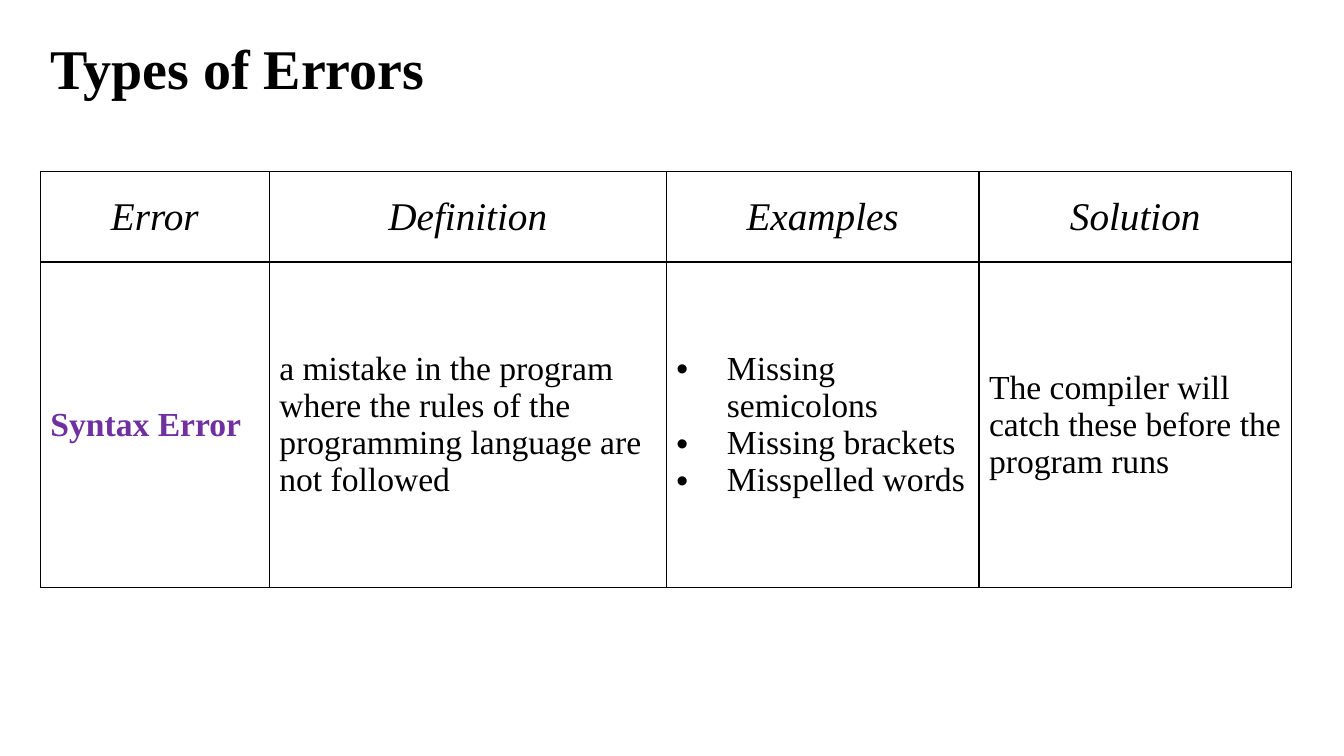
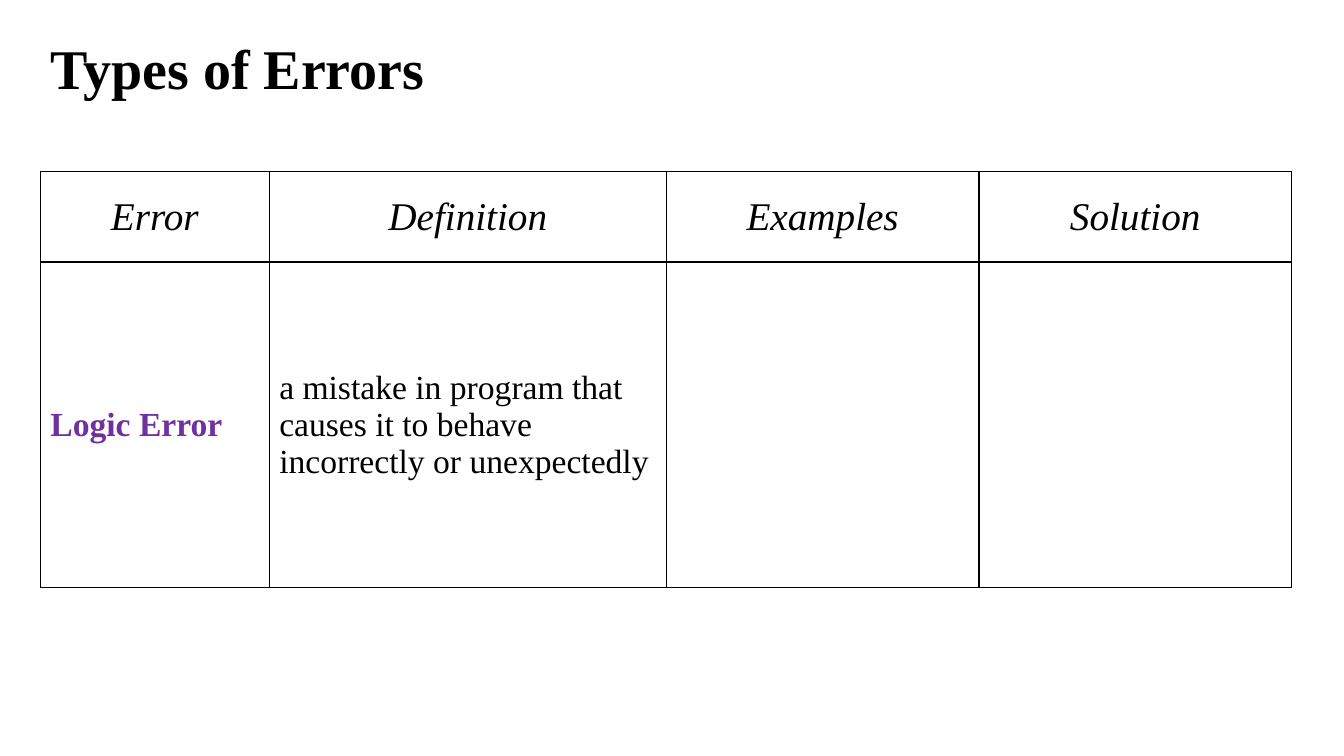
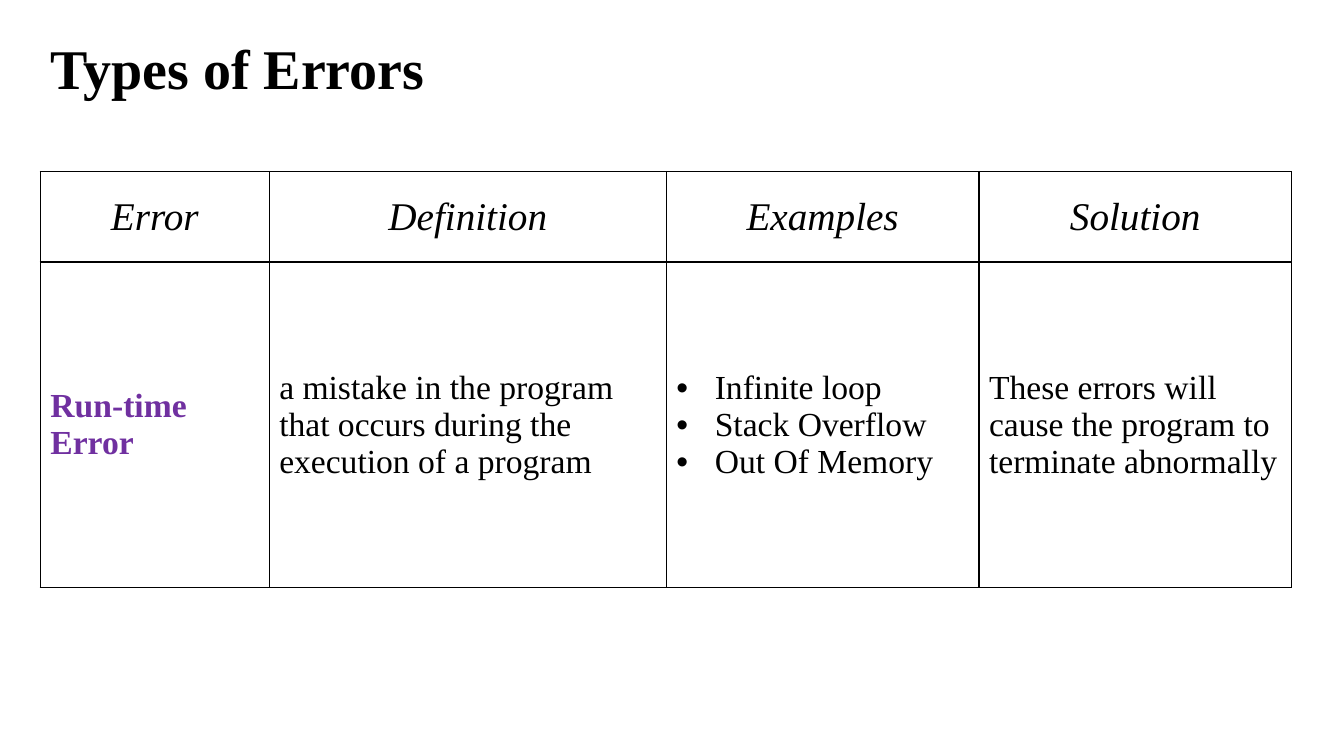
"""Build three slides that explain the types of programming errors."""
from dataclasses import dataclass

from lxml import etree
from pptx import Presentation
from pptx.dml.color import RGBColor
from pptx.enum.text import MSO_ANCHOR, MSO_AUTO_SIZE, PP_ALIGN
from pptx.oxml.ns import qn
from pptx.presentation import Presentation as Deck
from pptx.slide import Slide
from pptx.table import _Cell
from pptx.text.text import Font, _Paragraph
from pptx.util import Inches, Pt

LEFT, CENTER = PP_ALIGN.LEFT, PP_ALIGN.CENTER
TOP, MIDDLE = MSO_ANCHOR.TOP, MSO_ANCHOR.MIDDLE
FIT_SHAPE = MSO_AUTO_SIZE.SHAPE_TO_FIT_TEXT
TITLE_ONLY = 5


@dataclass(frozen=True)
class Theme:
    font: str = "Times New Roman"
    ink: str = "000000"
    accent: str = "7030A0"
    title_size: int = 40
    header_size: int = 28
    body_size: int = 24
    border_width: int = 1


@dataclass(frozen=True)
class ErrorType:
    name: str
    definition: str
    examples: tuple[str, ...] = ()
    solution: str = ""
    example_indent: float = 0.5


THEME = Theme()
TITLE = "Types of Errors"
HEADERS = ("Error", "Definition", "Examples", "Solution")
COLUMN_WIDTHS = (2.27, 3.94, 3.1, 3.1)
ROW_HEIGHTS = (0.9, 3.23)
LEFT_MARGIN = 0.4
TABLE_TOP = 1.7

ERROR_TYPES = (
    ErrorType(
        "Syntax Error",
        "a mistake in the program where the rules of the programming language are not followed",
        ("Missing semicolons", "Missing brackets", "Misspelled words"),
        "The compiler will catch these before the program runs",
    ),
    ErrorType(
        "Logic Error",
        "a mistake in program that causes it to behave incorrectly or unexpectedly",
    ),
    ErrorType(
        "Run-time Error",
        "a mistake in the program that occurs during the execution of a program",
        ("Infinite loop", "Stack Overflow", "Out Of Memory"),
        "These errors will cause the program to terminate abnormally",
        example_indent=0.38,
    ),
)


def style_font(font: Font, size: int, color: str = THEME.ink,
               bold: bool = False, italic: bool = False) -> None:
    font.name = THEME.font
    font.size = Pt(size)
    font.color.rgb = RGBColor.from_string(color)
    font.bold = bold
    font.italic = italic


def add_bullet(paragraph: _Paragraph, indent: float) -> None:
    properties = paragraph._p.get_or_add_pPr()
    properties.set("marL", str(Inches(indent)))
    properties.set("indent", str(-Inches(indent)))
    etree.SubElement(properties, qn("a:buFont"), typeface="Arial")
    etree.SubElement(properties, qn("a:buChar"), char="•")


def add_borders(cell: _Cell) -> None:
    properties = cell._tc.get_or_add_tcPr()
    for side in ("lnL", "lnR", "lnT", "lnB"):
        border = etree.SubElement(properties, qn(f"a:{side}"), w=str(Pt(THEME.border_width)))
        fill = etree.SubElement(border, qn("a:solidFill"))
        etree.SubElement(fill, qn("a:srgbClr"), val=THEME.ink)


def fill_cell(cell: _Cell, lines: tuple[str, ...], size: int = THEME.body_size,
              color: str = THEME.ink, bold: bool = False, italic: bool = False,
              align: PP_ALIGN = LEFT, bullet_indent: float = 0) -> None:
    add_borders(cell)
    cell.fill.background()
    cell.vertical_anchor = MIDDLE
    cell.text_frame.text = "\n".join(lines)
    for paragraph in cell.text_frame.paragraphs:
        if bullet_indent and lines:
            add_bullet(paragraph, bullet_indent)
        paragraph.alignment = align
        style_font(paragraph.font, size, color, bold, italic)
        for run in paragraph.runs:
            style_font(run.font, size, color, bold, italic)


def add_title(slide: Slide) -> None:
    title = slide.shapes.title
    title.left, title.top = Inches(LEFT_MARGIN), Inches(0.28)
    title.width, title.height = Inches(6.67), Inches(0.77)
    frame = title.text_frame
    frame.text = TITLE
    frame.word_wrap = True
    frame.auto_size = FIT_SHAPE
    frame.vertical_anchor = TOP
    paragraph = frame.paragraphs[0]
    paragraph.alignment = LEFT
    style_font(paragraph.runs[0].font, THEME.title_size, bold=True)


def add_error_table(slide: Slide, error: ErrorType) -> None:
    table = slide.shapes.add_table(
        len(ROW_HEIGHTS), len(HEADERS), Inches(LEFT_MARGIN), Inches(TABLE_TOP),
        Inches(sum(COLUMN_WIDTHS)), Inches(sum(ROW_HEIGHTS))).table
    table.first_row = False
    table.horz_banding = False
    for column, width in zip(table.columns, COLUMN_WIDTHS):
        column.width = Inches(width)
    for row, height in zip(table.rows, ROW_HEIGHTS):
        row.height = Inches(height)
    for index, header in enumerate(HEADERS):
        fill_cell(table.cell(0, index), (header,), THEME.header_size, italic=True, align=CENTER)
    fill_cell(table.cell(1, 0), (error.name,), color=THEME.accent, bold=True)
    fill_cell(table.cell(1, 1), (error.definition,))
    fill_cell(table.cell(1, 2), error.examples, bullet_indent=error.example_indent)
    fill_cell(table.cell(1, 3), (error.solution,))


def add_error_slide(deck: Deck, error: ErrorType) -> None:
    slide = deck.slides.add_slide(deck.slide_layouts[TITLE_ONLY])
    add_title(slide)
    add_error_table(slide, error)


def main() -> None:
    deck = Presentation()
    deck.slide_width, deck.slide_height = Inches(13.33), Inches(7.5)
    for error in ERROR_TYPES:
        add_error_slide(deck, error)
    deck.save("out.pptx")


if __name__ == "__main__":
    main()
